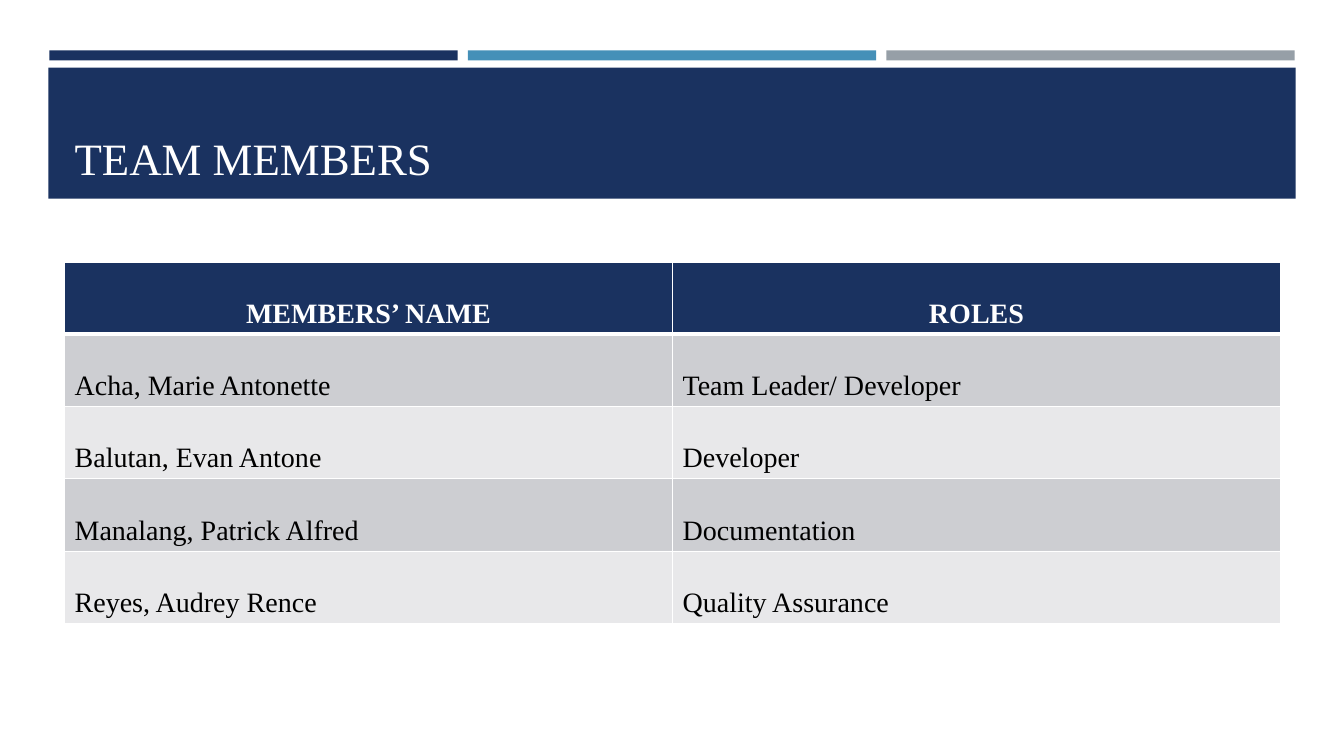
from dataclasses import dataclass

from lxml.etree import SubElement
from pptx import Presentation
from pptx.dml.color import RGBColor
from pptx.enum.shapes import MSO_SHAPE
from pptx.enum.text import MSO_ANCHOR, MSO_AUTO_SIZE, PP_ALIGN
from pptx.oxml.ns import qn
from pptx.util import Inches, Pt


@dataclass(frozen=True)
class Theme:
    """Colours, font and type sizes of the deck."""
    navy: str = "1A3260"
    blue: str = "4590B8"
    gray: str = "969FA7"
    white: str = "FFFFFF"
    black: str = "000000"
    stripes: tuple = ("CDCED2", "E8E8EA")
    font: str = "Times New Roman"
    title_size: int = 32
    table_size: int = 20


class SlideBuilder:
    """Places elements on a slide by a grid of tenth-inch columns and rows."""

    def __init__(self, presentation, theme):
        """Add a title-only slide to the presentation."""
        self.theme = theme
        self.slide = presentation.slides.add_slide(presentation.slide_layouts[5])

    def grid(self, *cells):
        """Turn grid counts into lengths."""
        return [Inches(count / 10) for count in cells]

    def add_text(self, paragraph, text, size, color, bold=False):
        """Add one styled run to a paragraph."""
        run = paragraph.add_run()
        run.text = text
        run.font.name = self.theme.font
        run.font.size = Pt(size)
        run.font.bold = bold
        run.font.color.rgb = RGBColor.from_string(color)

    def bar(self, left, top, width, height, color):
        """Draw a plain filled rectangle."""
        shape = self.slide.shapes.add_shape(
            MSO_SHAPE.RECTANGLE, *self.grid(left, top, width, height))
        shape.shadow.inherit = False
        shape.fill.solid()
        shape.fill.fore_color.rgb = RGBColor.from_string(color)
        shape.line.fill.background()

    def title(self, left, top, width, height, text):
        """Format the title placeholder and bring it to the front."""
        title = self.slide.shapes.title
        title.left, title.top, title.width, title.height = self.grid(
            left, top, width, height)
        title.element.getparent().append(title.element)
        frame = title.text_frame
        frame.word_wrap = True
        frame.auto_size = MSO_AUTO_SIZE.NONE
        frame.vertical_anchor = MSO_ANCHOR.BOTTOM
        paragraph = frame.paragraphs[0]
        paragraph.alignment = PP_ALIGN.LEFT
        self.add_text(paragraph, text, self.theme.title_size, self.theme.white)

    def border(self, cell, side, points):
        """Give one side of a cell a white border."""
        properties = cell._tc.get_or_add_tcPr()
        line = SubElement(properties, qn(f"a:ln{side}"), w=str(Pt(points)))
        fill = SubElement(line, qn("a:solidFill"))
        SubElement(fill, qn("a:srgbClr"), val=self.theme.white)

    def cell(self, cell, text, row):
        """Style and fill one table cell according to its row."""
        header = row == 0
        for side in "LRTB":
            thick = (header and side == "B") or (row == 1 and side == "T")
            self.border(cell, side, 3 if thick else 1)
        color = self.theme.navy if header else self.theme.stripes[(row - 1) % 2]
        cell.fill.solid()
        cell.fill.fore_color.rgb = RGBColor.from_string(color)
        paragraph = cell.text_frame.paragraphs[0]
        paragraph.line_spacing = 2.0
        paragraph.alignment = PP_ALIGN.CENTER if header else PP_ALIGN.LEFT
        ink = self.theme.white if header else self.theme.black
        self.add_text(paragraph, text, self.theme.table_size, ink, header)

    def table(self, left, top, width, row_height, rows):
        """Add a striped table with equal columns and rows."""
        table = self.slide.shapes.add_table(
            len(rows), len(rows[0]),
            *self.grid(left, top, width, row_height * len(rows))).table
        for row, texts in enumerate(rows):
            for column, text in enumerate(texts):
                self.cell(table.cell(row, column), text, row)


def main():
    """Build the team members slide."""
    presentation = Presentation()
    presentation.slide_width = Inches(13.33)
    presentation.slide_height = Inches(7.5)
    theme = Theme()
    builder = SlideBuilder(presentation, theme)

    for index, color in enumerate((theme.navy, theme.blue, theme.gray)):
        builder.bar(4.9 + 41.5 * index, 5, 40.5, 1, color)
    builder.bar(4.8, 6.7, 123.7, 13, theme.navy)
    builder.title(6.4, 7.7, 120.6, 11.1, "TEAM MEMBERS")
    builder.table(6.4, 26, 120.6, 6.76, [
        ("MEMBERS’ NAME", "ROLES"),
        ("Acha, Marie Antonette", "Team Leader/ Developer"),
        ("Balutan, Evan Antone", "Developer"),
        ("Manalang, Patrick Alfred", "Documentation"),
        ("Reyes, Audrey Rence", "Quality Assurance"),
    ])
    presentation.save("out.pptx")


if __name__ == "__main__":
    main()
